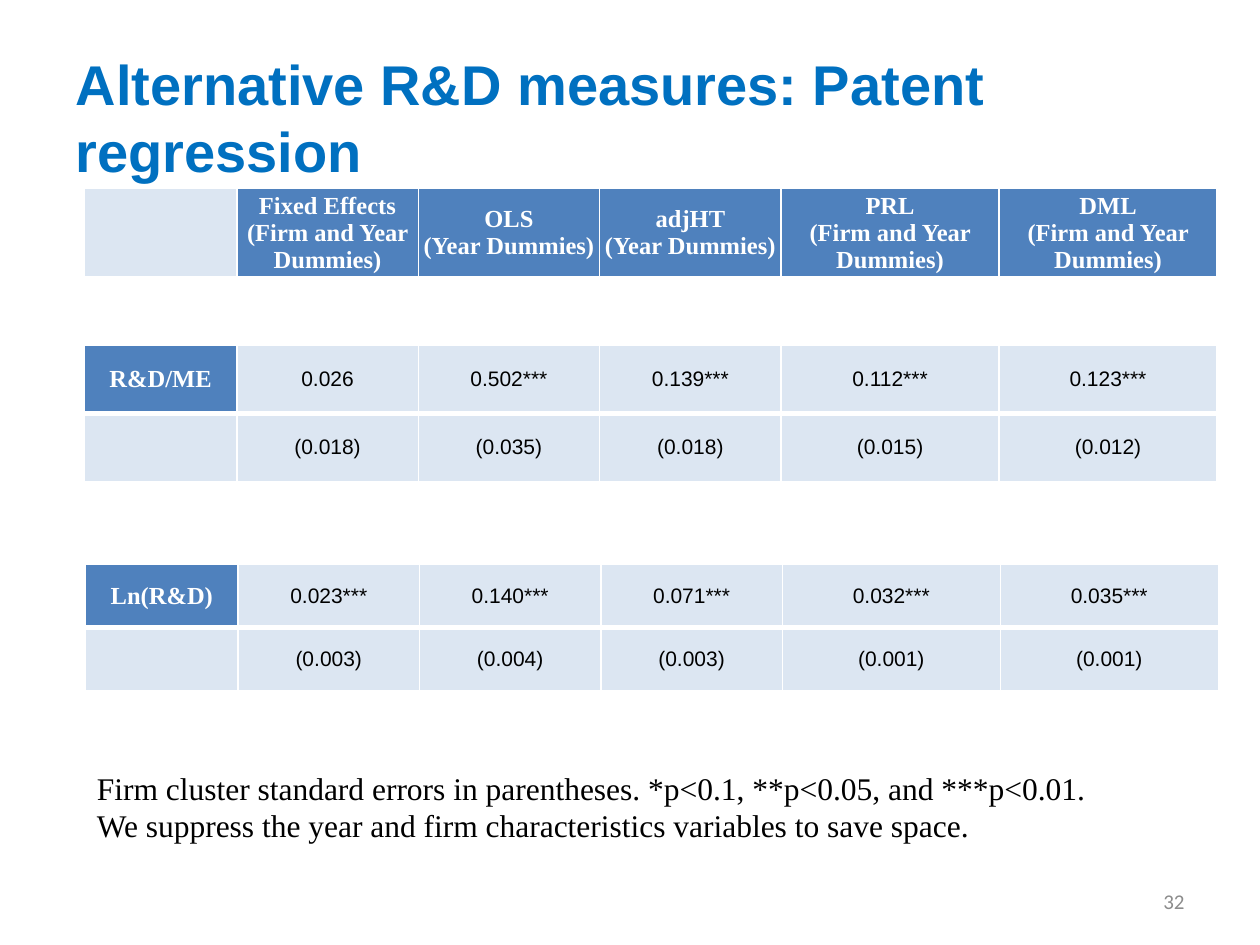
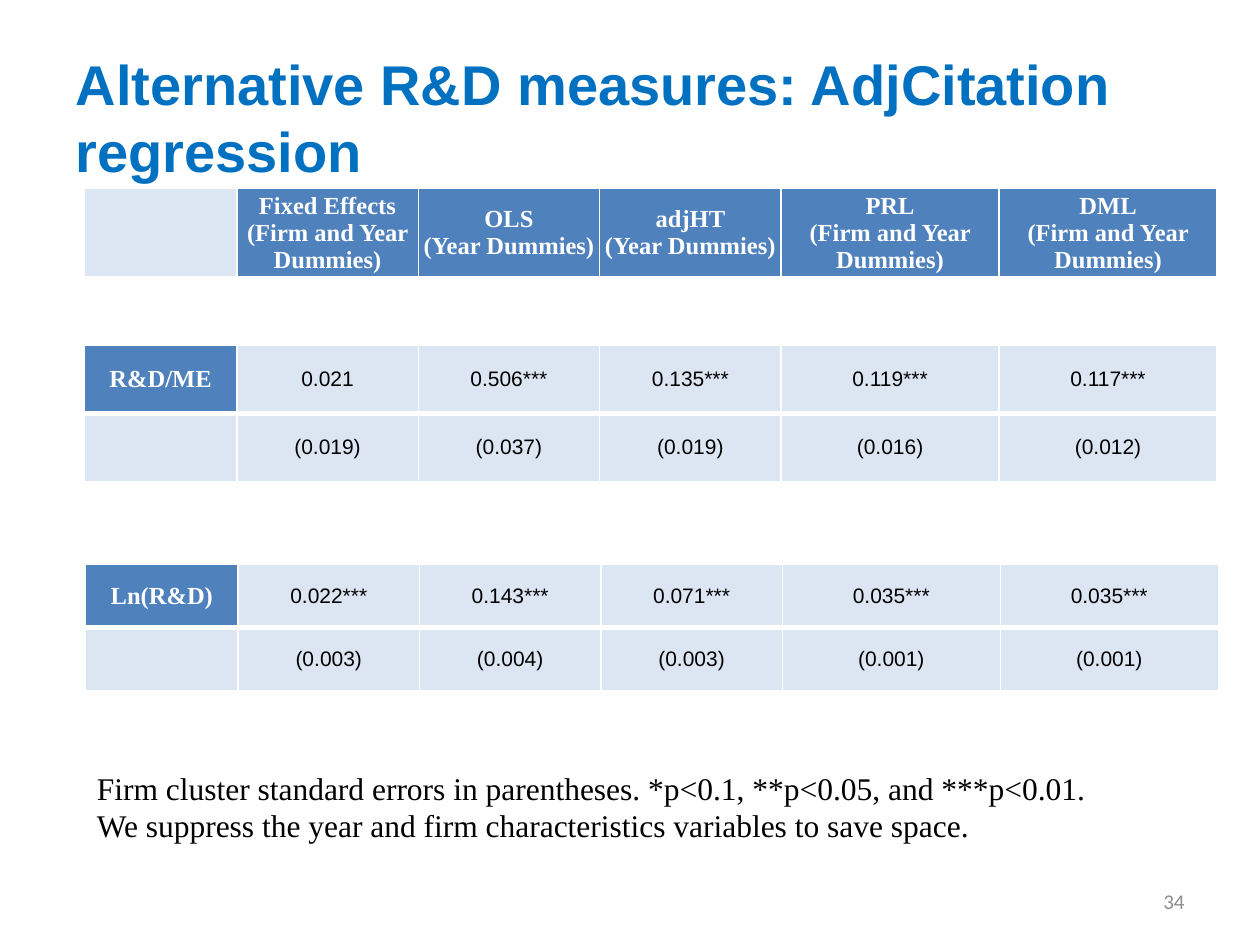
from lxml import etree
from pptx import Presentation
from pptx import util as u
from pptx.dml.color import RGBColor
from pptx.enum import text
from pptx.oxml import ns

# Content
FIRM_YEAR, YEAR = "(Firm and Year Dummies)", "(Year Dummies)"
METHODS = [
    ("Fixed Effects", FIRM_YEAR),
    ("OLS", YEAR),
    ("adjHT", YEAR),
    ("PRL", FIRM_YEAR),
    ("DML", FIRM_YEAR),
]
NOTE = [
    "Firm cluster standard errors in parentheses. *p<0.1, **p<0.05, and ***p<0.01.",
    "We suppress the year and firm characteristics variables to save space.",
]
REGRESSIONS = [
    {
        "outcome": "Patent",
        "page": 32,
        "R&D/ME": [
            ["0.026", "0.502***", "0.139***", "0.112***", "0.123***"],
            ["(0.018)", "(0.035)", "(0.018)", "(0.015)", "(0.012)"],
        ],
        "Ln(R&D)": [
            ["0.023***", "0.140***", "0.071***", "0.032***", "0.035***"],
            ["(0.003)", "(0.004)", "(0.003)", "(0.001)", "(0.001)"],
        ],
    },
    {
        "outcome": "AdjCitation",
        "page": 34,
        "R&D/ME": [
            ["0.021", "0.506***", "0.135***", "0.119***", "0.117***"],
            ["(0.019)", "(0.037)", "(0.019)", "(0.016)", "(0.012)"],
        ],
        "Ln(R&D)": [
            ["0.022***", "0.143***", "0.071***", "0.035***", "0.035***"],
            ["(0.003)", "(0.004)", "(0.003)", "(0.001)", "(0.001)"],
        ],
    },
]

# Shared look
COLORS = {"title": "0070C0", "header": "4F81BD", "body": "DCE6F2",
          "light": "FFFFFF", "dark": "000000", "page": "8C8C8C"}
SERIF, SANS = "Times New Roman", "Arial"
COLUMNS = [1.21] + [1.44] * 3 + [1.73] * 2
# measure: (left, top, row height)
MEASURES = {"R&D/ME": (0.67, 2.74, 0.54), "Ln(R&D)": (0.68, 4.48, 0.5)}
HEADER_PLACE = (0.67, 1.49, 0.71)
THIN, THICK = 1, 3


def write(frame, lines, font, size, color, bold=False, align=text.PP_ALIGN.LEFT):
    frame.text = "\n".join(lines)
    for paragraph in frame.paragraphs:
        paragraph.alignment = align
        for run in paragraph.runs:
            run.font.name, run.font.size, run.font.bold = font, u.Pt(size), bold
            run.font.color.rgb = RGBColor.from_string(COLORS[color])


def add_text(slide, place, lines, *style, **options):
    frame = slide.shapes.add_textbox(*map(u.Inches, place)).text_frame
    write(frame, lines, *style, **options)
    return frame


def draw_borders(cell, top, bottom):
    properties = cell._tc.get_or_add_tcPr()
    for side, width in (("L", THIN), ("R", THIN), ("T", top), ("B", bottom)):
        line = etree.SubElement(properties, ns.qn(f"a:ln{side}"), w=str(u.Pt(width)))
        fill = etree.SubElement(line, ns.qn("a:solidFill"))
        etree.SubElement(fill, ns.qn("a:srgbClr"), val=COLORS["light"])


def add_grid(slide, place, rows):
    """Rows hold cells of (lines, is_header); the first column keeps wide margins."""
    left, top, row_height = place
    grid = slide.shapes.add_table(
        len(rows), len(COLUMNS), u.Inches(left), u.Inches(top),
        u.Inches(sum(COLUMNS)), u.Inches(row_height * len(rows))).table
    grid.first_row = grid.horz_banding = False
    for column, width in zip(grid.columns, COLUMNS):
        column.width = u.Inches(width)
    for r, row in enumerate(rows):
        grid.rows[r].height = u.Inches(row_height)
        for c, (lines, is_header) in enumerate(row):
            cell = grid.cell(r, c)
            if c:
                cell.margin_left = cell.margin_right = u.Inches(0.02)
                cell.margin_top = cell.margin_bottom = u.Inches(0.01)
            cell.vertical_anchor = text.MSO_ANCHOR.MIDDLE
            draw_borders(cell, THICK if r else THIN, THIN if r else THICK)
            cell.fill.solid()
            cell.fill.fore_color.rgb = RGBColor.from_string(
                COLORS["header" if is_header else "body"])
            style = (SERIF, 14, "light", True) if is_header else (SANS, 12, "dark")
            write(cell.text_frame, lines, *style, align=text.PP_ALIGN.CENTER)


def add_regression(deck, regression):
    slide = deck.slides.add_slide(deck.slide_layouts[5])

    # Title
    title = slide.shapes.title
    title.left, title.top, title.width, title.height = map(u.Inches, (0.5, 0.3, 9, 1.25))
    write(title.text_frame,
          [f"Alternative R&D measures: {regression['outcome']} regression"],
          SANS, 32, "title", bold=True)
    title.text_frame.vertical_anchor = text.MSO_ANCHOR.MIDDLE
    title.text_frame.auto_size = text.MSO_AUTO_SIZE.NONE

    # Page number and note
    page = add_text(slide, (7.17, 6.95, 2.33, 0.4), [str(regression["page"])],
                    "Calibri", 12, "page", align=text.PP_ALIGN.RIGHT)
    page.word_wrap = True
    page.vertical_anchor = text.MSO_ANCHOR.MIDDLE
    note = add_text(slide, (0.67, 6.05, 8.19, 1.01), NOTE, SERIF, 18, "dark")
    note.word_wrap = False

    # Estimates with standard errors, then the method headings
    for measure, place in MEASURES.items():
        estimates, errors = regression[measure]
        add_grid(slide, place, [
            [([measure], True)] + [([value], False) for value in estimates],
            [([], False)] + [([value], False) for value in errors],
        ])
    add_grid(slide, HEADER_PLACE,
             [[([], False)] + [(method, True) for method in METHODS]])


def main():
    deck = Presentation()
    deck.slide_width, deck.slide_height = u.Inches(10), u.Inches(7.5)
    for regression in REGRESSIONS:
        add_regression(deck, regression)
    deck.save("out.pptx")


if __name__ == "__main__":
    main()
